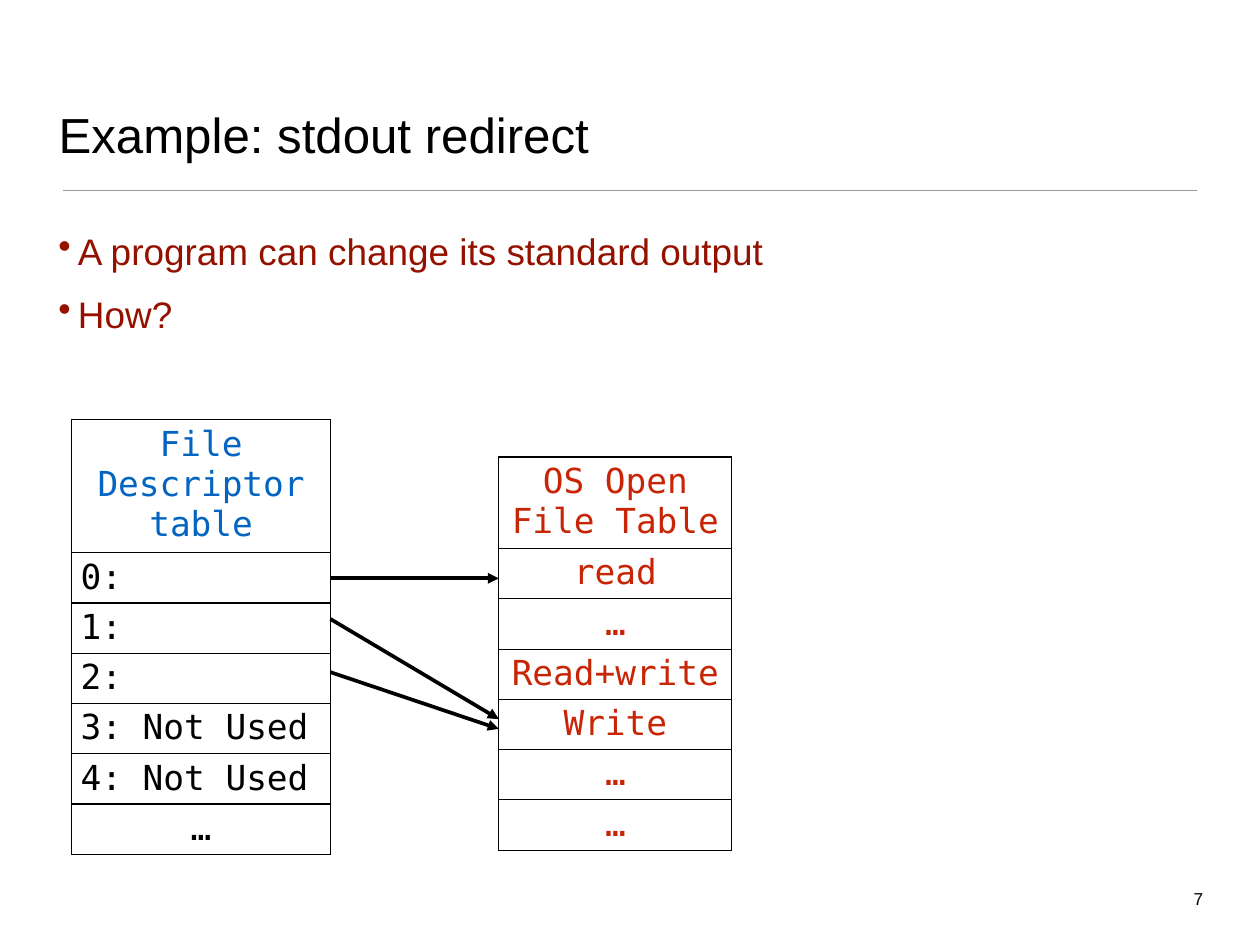
from dataclasses import dataclass

from lxml import etree
from pptx import Presentation
from pptx import util as u
from pptx.dml import color
from pptx.enum import shapes, text
from pptx.oxml import ns, xmlchemy


@dataclass(frozen=True)
class Theme:
    """Colours, fonts and type sizes of the slide."""
    ink: str = "000000"
    rule: str = "9A9A9A"
    bullet: str = "941100"
    descriptor: str = "0365C0"
    open_file: str = "C82506"
    paper: str = "FFFFFF"
    sans: str = "Arial"
    mono: str = "DejaVu Sans Mono"
    title: int = 40
    body: int = 30
    cell: int = 28
    number: int = 14


THEME = Theme()
LEFT, CENTER, RIGHT = text.PP_ALIGN.LEFT, text.PP_ALIGN.CENTER, text.PP_ALIGN.RIGHT
ROW = 0.553


def rgb(value):
    """Turn a hex string into a colour."""
    return color.RGBColor.from_string(value)


def add_text(paragraph, wording, size, tint, face=THEME.sans, align=LEFT):
    """Add one formatted run to a paragraph."""
    paragraph.alignment = align
    run = paragraph.add_run()
    run.text = wording
    run.font.size = u.Pt(size)
    run.font.name = face
    run.font.color.rgb = rgb(tint)


def place(shape, box):
    """Move a shape to a box given in inches."""
    shape.left, shape.top, shape.width, shape.height = map(u.Inches, box)


def set_frame(frame, anchor=text.MSO_ANCHOR.TOP, wrap=True):
    """Give a text frame its narrow margins, anchor and wrapping."""
    frame.margin_left = frame.margin_right = u.Inches(0.04)
    frame.margin_top = frame.margin_bottom = u.Inches(0.04)
    frame.vertical_anchor = anchor
    frame.word_wrap = wrap


def add_line(slide, start, end, tint, width, arrow=False):
    """Draw a straight line, with an arrowhead at its end if asked."""
    line = slide.shapes.add_connector(
        shapes.MSO_CONNECTOR.STRAIGHT, *map(u.Inches, (*start, *end)))
    line.line.color.rgb = rgb(tint)
    line.line.width = u.Pt(width)
    if arrow:
        etree.SubElement(line.line._get_or_add_ln(), ns.qn("a:tailEnd"), type="triangle")
    etree.SubElement(line._element.spPr, ns.qn("a:effectLst"))


def add_heading(slide, box, wording):
    """Fill the title placeholder and draw the rule below it."""
    title = slide.shapes.title
    place(title, box)
    set_frame(title.text_frame, text.MSO_ANCHOR.BOTTOM)
    title.text_frame.auto_size = text.MSO_AUTO_SIZE.NONE
    add_text(title.text_frame.paragraphs[0], wording, THEME.title, THEME.ink)
    left, top, width, height = box
    rule_y = top + height + 0.26
    add_line(slide, (left + 0.09, rule_y), (left + width - 0.08, rule_y), THEME.rule, 1)


def add_bullets(slide, box, points):
    """Write the bullet points in one text box."""
    frame = slide.shapes.add_textbox(*map(u.Inches, box)).text_frame
    set_frame(frame)
    for index, point in enumerate(points):
        paragraph = frame.add_paragraph() if index else frame.paragraphs[0]
        paragraph.space_before = u.Pt(15)
        add_text(paragraph, point, THEME.body, THEME.bullet)
        properties = paragraph._p.get_or_add_pPr()
        properties.set("marL", str(u.Inches(0.22)))
        properties.set("indent", str(-u.Inches(0.22)))
        etree.SubElement(properties, ns.qn("a:buChar"), char="•")


def add_borders(cell):
    """Draw a thin line on all four sides of a cell."""
    properties = cell._tc.get_or_add_tcPr()
    for index, side in enumerate(("lnL", "lnR", "lnT", "lnB")):
        edge = etree.Element(ns.qn(f"a:{side}"), w=str(u.Pt(1)))
        fill = etree.SubElement(edge, ns.qn("a:solidFill"))
        etree.SubElement(fill, ns.qn("a:srgbClr"), val=THEME.ink)
        properties.insert(index, edge)


def add_file_table(slide, box, entries):
    """Build a one-column table whose first row takes the spare height."""
    left, top, width, height = box
    table = slide.shapes.add_table(len(entries), 1, *map(u.Inches, box)).table
    table.first_row = table.horz_banding = False
    table.columns[0].width = u.Inches(width)
    header_height = height - ROW * (len(entries) - 1)
    for index, (lines, tint, align) in enumerate(entries):
        table.rows[index].height = u.Inches(ROW if index else header_height)
        cell = table.cell(index, 0)
        cell.fill.solid()
        cell.fill.fore_color.rgb = rgb(THEME.paper)
        add_borders(cell)
        for number, line in enumerate(lines.split("\n")):
            frame = cell.text_frame
            paragraph = frame.add_paragraph() if number else frame.paragraphs[0]
            add_text(paragraph, line, THEME.cell, tint, THEME.mono, align)


def add_redirects(slide, box, links):
    """Draw arrows across a box between pairs of heights."""
    left, top, width, height = box
    for start, end in links:
        add_line(slide, (left, top + start), (left + width, top + end), THEME.ink, 3, True)


def add_number(slide, box, wording):
    """Write the slide number."""
    frame = slide.shapes.add_textbox(*map(u.Inches, box)).text_frame
    set_frame(frame, wrap=False)
    add_text(frame.paragraphs[0], wording, THEME.number, THEME.ink, align=RIGHT)


def build_redirect_slide(deck):
    """Lay out the slide on redirecting standard output."""
    slide = deck.slides.add_slide(deck.slide_layouts[5])
    add_heading(slide, (0.62, 0.36, 12.97, 1.53), "Example: stdout redirect")
    add_bullets(slide, (0.62, 2.54, 12.97, 1.5),
                ["A program can change its standard output", "How?"])
    descriptors = [("File Descriptor table", THEME.descriptor, CENTER)]
    descriptors += [(entry, THEME.ink, LEFT)
                    for entry in ("0:", "1:", "2:", "3: Not Used", "4: Not Used")]
    descriptors.append(("…", THEME.ink, CENTER))
    add_file_table(slide, (0.81, 4.74, 2.92, 4.78), descriptors)
    open_files = [(entry, THEME.open_file, CENTER) for entry in
                  ("OS Open\nFile Table", "read", "…", "Read+write", "Write", "…", "…")]
    add_file_table(slide, (5.63, 5.16, 2.63, 4.31), open_files)
    add_redirects(slide, (3.73, 6.53, 1.9, 1.7), [(0, 0), (0.46, 1.59), (1.06, 1.7)])
    add_number(slide, (13.31, 9.99, 0.31, 0.3), "7")


def main():
    """Create and save the deck."""
    deck = Presentation()
    deck.slide_width, deck.slide_height = u.Inches(14.22), u.Inches(10.67)
    build_redirect_slide(deck)
    deck.save("out.pptx")


if __name__ == "__main__":
    main()
